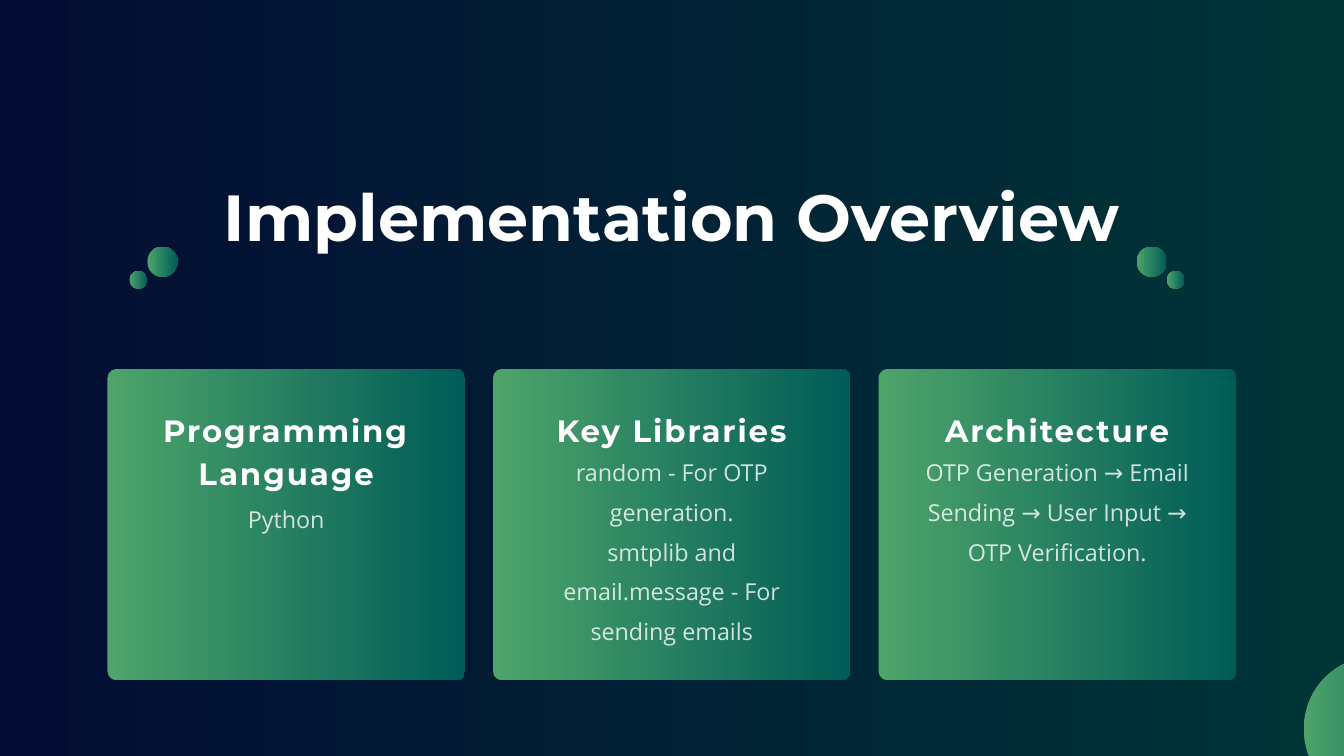
from lxml import etree
from pptx import Presentation
from pptx.dml.color import RGBColor
from pptx.enum import shapes, text
from pptx.oxml.ns import qn
from pptx.util import Pt

HUES = {"night": "030D33", "pine": "003537", "leaf": "4EA46A",
        "teal": "005C57", "white": "FFFFFF"}
TITLE = "Implementation Overview"
# heading, lines it takes, top of the body, body paragraphs
CARDS = [
    ("Programming Language", 2, 528.5, ["Python"]),
    ("Key Libraries", 1, 478.8, ["random - For OTP generation.",
                                 "smtplib and email.message - For sending emails"]),
    ("Architecture", 1, 478.8,
     ["OTP Generation → Email Sending → User Input → OTP Verification."]),
]
# left, top, diameter
DOTS = [(138.7, 290.3, 19.2), (1249.9, 290.3, 19.2),
        (157.9, 264.2, 32.4), (1217.7, 264.2, 32.4),
        (1396.8, 703.4, 155.4)]
WIDE, HIGH = 1440, 810
LEFT, TOP, CARD_W, CARD_H, GAP = 115.2, 395.2, 382.9, 333.8, 30.15
RADIUS = 9.8
TEXT_W, HEAD_TOP = 298.8, 434.2
HEAD_LS, BODY_LS = 46.2, 42.5


def blend(fill, start, end):
    """Fill from left to right with two colours."""
    fill.gradient()
    fill.gradient_angle = 0
    for stop, hue, pos in zip(fill.gradient_stops, (start, end), (0, 1)):
        stop.color.rgb = RGBColor.from_string(HUES[hue])
        stop.position = pos


def draw(slide, kind, *box):
    shape = slide.shapes.add_shape(kind, *map(Pt, box))
    shape.shadow.inherit = False
    shape.line.fill.background()
    blend(shape.fill, "leaf", "teal")
    return shape


def write(shape, lines, font, size, pitch, bold=False, track=0, alpha=100):
    """Set centred lines; track is in points, alpha in percent."""
    frame = shape.text_frame
    frame.word_wrap = True
    frame.auto_size = text.MSO_AUTO_SIZE.NONE
    frame.vertical_anchor = text.MSO_ANCHOR.TOP
    frame.margin_left = frame.margin_right = 0
    frame.margin_top = frame.margin_bottom = 0
    frame.text = "\n".join(lines)
    for para in frame.paragraphs:
        para.alignment = text.PP_ALIGN.CENTER
        para.line_spacing = Pt(pitch)
        para.space_before = para.space_after = Pt(0)
        for run in para.runs:
            face = run.font
            face.name, face.size, face.bold = font, Pt(size), bold
            face.color.rgb = RGBColor.from_string(HUES["white"])
            props = run._r.get_or_add_rPr()
            if track:
                props.set("spc", str(round(track * 100)))
            if alpha < 100:
                tint = props.find(".//" + qn("a:srgbClr"))
                etree.SubElement(tint, qn("a:alpha")).set("val", str(alpha * 1000))


def main():
    deck = Presentation()
    deck.slide_width, deck.slide_height = Pt(WIDE), Pt(HIGH)
    slide = deck.slides.add_slide(deck.slide_layouts[5])
    blend(slide.background.fill, "night", "pine")

    title = slide.shapes.title
    title.left, title.top, title.width, title.height = map(Pt, (224, 189.4, 992, 83.5))
    write(title, [TITLE], "Montserrat", 69.8, 83.8, bold=True)

    for i, (head, rows, top, body) in enumerate(CARDS):
        left = LEFT + i * (CARD_W + GAP)
        card = draw(slide, shapes.MSO_SHAPE.ROUNDED_RECTANGLE, left, TOP, CARD_W, CARD_H)
        card.adjustments[0] = RADIUS / CARD_H
        inner = left + (CARD_W - TEXT_W) / 2
        box = slide.shapes.add_textbox(*map(Pt, (inner, HEAD_TOP, TEXT_W, rows * HEAD_LS)))
        write(box, [head], "Montserrat", 33, HEAD_LS, bold=True, track=2.1)
        box = slide.shapes.add_textbox(
            *map(Pt, (inner, top, TEXT_W, TOP + CARD_H - top - 40)))
        write(box, body, "Open Sans", 25, BODY_LS, alpha=80)

    for left, top, size in DOTS:
        draw(slide, shapes.MSO_SHAPE.OVAL, left, top, size, size)

    deck.save("out.pptx")


if __name__ == "__main__":
    main()
